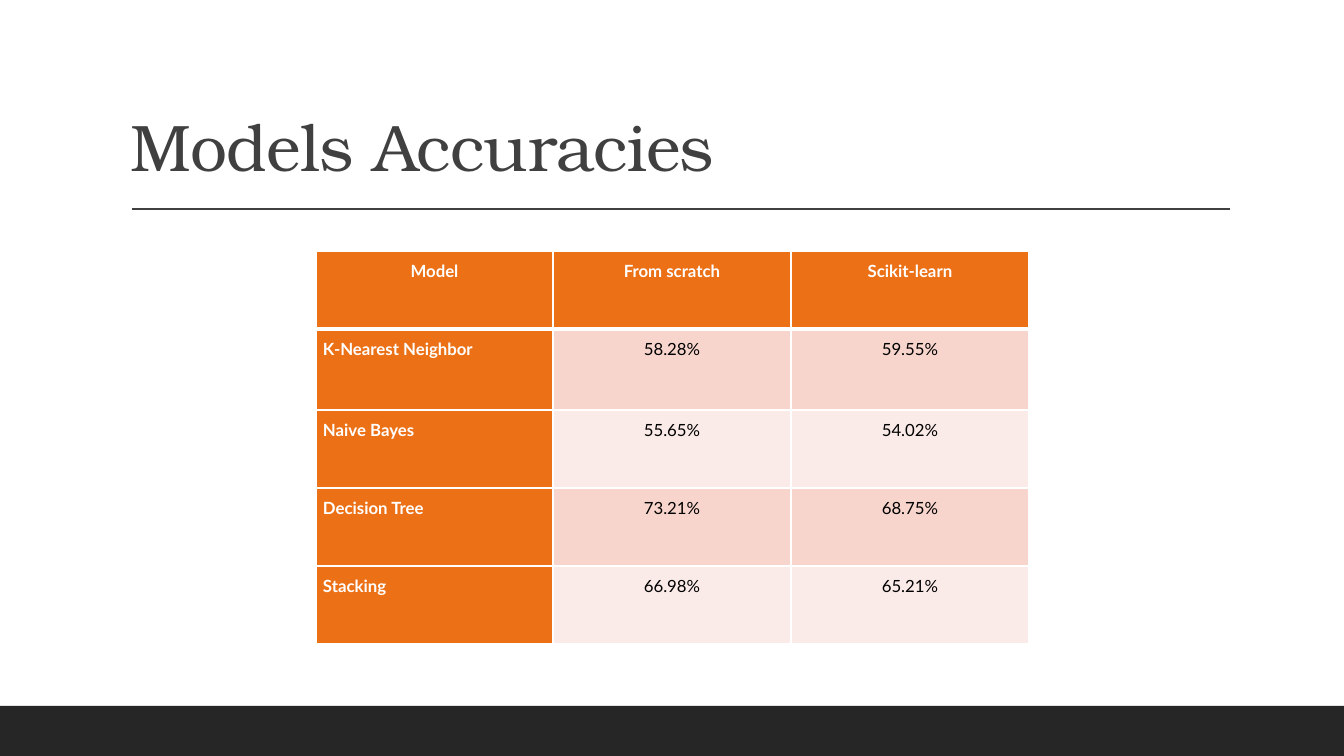
from dataclasses import dataclass

from lxml import etree
from pptx import Presentation
from pptx.dml.color import RGBColor
from pptx.enum.shapes import MSO_CONNECTOR, MSO_SHAPE
from pptx.enum.text import MSO_ANCHOR, PP_ALIGN
from pptx.oxml.ns import qn
from pptx.slide import Slide
from pptx.table import _Cell
from pptx.util import Emu, Pt

RECTANGLE = MSO_SHAPE.RECTANGLE
STRAIGHT = MSO_CONNECTOR.STRAIGHT
BOTTOM = MSO_ANCHOR.BOTTOM
CENTER = PP_ALIGN.CENTER
JUSTIFY = PP_ALIGN.JUSTIFY

SLIDE_W, SLIDE_H = 1344, 756
BAR_TOP = 706
COL_WIDTHS = (237, 238, 238)
HEADER_HEIGHT = 78


@dataclass(frozen=True)
class Theme:
    title_font: str = "TeX Gyre Bonum"
    body_font: str = "Lato"
    title_size: int = 47
    body_size: int = 12
    white: str = "FFFFFF"
    black: str = "000000"
    heading: str = "404040"
    bar: str = "262626"
    accent: str = "EC7016"
    bands: tuple[str, str] = ("F8D5CC", "FBEBE8")


@dataclass(frozen=True)
class ModelRow:
    name: str
    scratch: str
    sklearn: str
    height: int = 78


THEME = Theme()
HEADERS = ("Model", "From scratch", "Scikit-learn")
MODELS = (
    ModelRow("K-Nearest Neighbor", "58.28%", "59.55%", 81),
    ModelRow("Naive Bayes", "55.65%", "54.02%"),
    ModelRow("Decision Tree", "73.21%", "68.75%"),
    ModelRow("Stacking", "66.98%", "65.21%"),
)


def px(n: int) -> Emu:
    return Emu(round(n * 914400 / 100.8))


def rgb(color: str) -> RGBColor:
    return RGBColor.from_string(color)


def add_bar(s: Slide) -> None:
    sp = s.shapes.add_shape(RECTANGLE, 0, px(BAR_TOP), px(SLIDE_W), px(SLIDE_H - BAR_TOP))
    sp.shadow.inherit = False
    sp.fill.solid()
    sp.fill.fore_color.rgb = rgb(THEME.bar)
    sp.line.fill.background()


def add_rule(s: Slide) -> None:
    cx = s.shapes.add_connector(STRAIGHT, px(132), px(209), px(1230), px(209))
    cx.line.color.rgb = rgb(THEME.heading)
    cx.line.width = Pt(1)
    etree.SubElement(cx._element.spPr, qn("a:effectLst"))


def add_title(s: Slide, text: str) -> None:
    tf = s.shapes.add_textbox(px(121), px(31), px(1109), px(160)).text_frame
    tf.word_wrap = True
    tf.vertical_anchor = BOTTOM
    tf.text = text
    p = tf.paragraphs[0]
    p.line_spacing = 0.9
    r = p.runs[0]
    r.font.name = THEME.title_font
    r.font.size = Pt(THEME.title_size)
    r.font.color.rgb = rgb(THEME.heading)
    r._r.get_or_add_rPr().set("spc", "-50")


def set_borders(cell: _Cell, top: int, bottom: int) -> None:
    tcPr = cell._tc.get_or_add_tcPr()
    widths = {"a:lnL": 1, "a:lnR": 1, "a:lnT": top, "a:lnB": bottom}
    for i, (tag, width) in enumerate(widths.items()):
        ln = etree.Element(qn(tag), w=str(Pt(width)))
        fill = etree.SubElement(ln, qn("a:solidFill"))
        etree.SubElement(fill, qn("a:srgbClr"), val=THEME.white)
        tcPr.insert(i, ln)


def fill_cell(cell: _Cell, text: str, row: int, col: int) -> None:
    is_header = row == 0
    is_label = is_header or col == 0
    cell.margin_left = cell.margin_right = px(7)
    cell.margin_top = cell.margin_bottom = 0
    cell.fill.solid()
    cell.fill.fore_color.rgb = rgb(THEME.accent if is_label else THEME.bands[(row - 1) % 2])
    set_borders(cell, 3 if row == 1 else 1, 3 if is_header else 1)
    cell.text_frame.text = text
    p = cell.text_frame.paragraphs[0]
    p.alignment = CENTER if is_header or col else JUSTIFY
    p.line_spacing = 1.5
    r = p.runs[0]
    r.font.name = THEME.body_font
    r.font.size = Pt(THEME.body_size)
    r.font.bold = is_label
    r.font.color.rgb = rgb(THEME.white if is_label else THEME.black)


def add_accuracy_table(s: Slide) -> None:
    heights = (HEADER_HEIGHT, *(m.height for m in MODELS))
    rows = (HEADERS, *((m.name, m.scratch, m.sklearn) for m in MODELS))
    table = s.shapes.add_table(
        len(rows), len(HEADERS), px(316), px(251), px(sum(COL_WIDTHS)), px(sum(heights))
    ).table
    for column, width in zip(table.columns, COL_WIDTHS):
        column.width = px(width)
    for i, (values, height) in enumerate(zip(rows, heights)):
        table.rows[i].height = px(height)
        for j, text in enumerate(values):
            fill_cell(table.cell(i, j), text, i, j)


def main() -> None:
    prs = Presentation()
    prs.slide_width, prs.slide_height = px(SLIDE_W), px(SLIDE_H)
    s = prs.slides.add_slide(prs.slide_layouts[6])
    add_bar(s)
    add_rule(s)
    add_title(s, "Models Accuracies")
    add_accuracy_table(s)
    prs.save("out.pptx")


if __name__ == "__main__":
    main()
